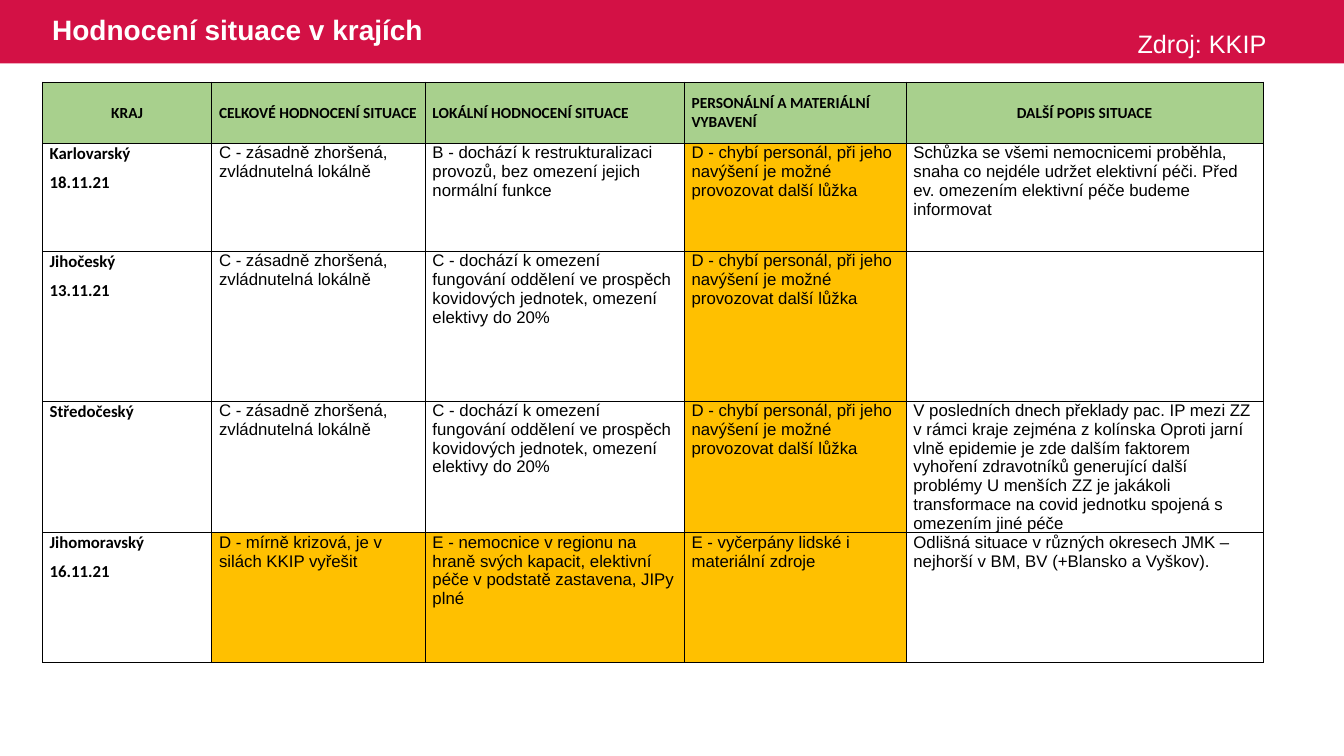
from lxml.etree import SubElement
from pptx import Presentation
from pptx.dml.color import RGBColor
from pptx.enum.shapes import MSO_SHAPE as Shape
from pptx.enum.text import MSO_ANCHOR as Anchor, PP_ALIGN as Align
from pptx.oxml.ns import qn
from pptx.util import Cm, Pt

CRIMSON = RGBColor(0xD3, 0x11, 0x45)
GREEN = RGBColor(0xA8, 0xD0, 0x8D)
AMBER = RGBColor(0xFF, 0xC0, 0x00)
WHITE = RGBColor(0xFF, 0xFF, 0xFF)
BLACK = RGBColor(0x00, 0x00, 0x00)

BAND_HEIGHT = Cm(1.6)
COLUMN_WIDTHS = (4.27, 5.38, 6.53, 5.59, 8.99)
ROW_HEIGHTS = (1.55, 2.72, 3.77, 3.27, 3.27)

HEADINGS = (
    "KRAJ",
    "CELKOVÉ HODNOCENÍ SITUACE",
    "LOKÁLNÍ HODNOCENÍ SITUACE",
    "PERSONÁLNÍ A MATERIÁLNÍ VYBAVENÍ",
    "DALŠÍ POPIS SITUACE",
)
CENTRED_COLUMNS = (0, 4)

WORSENED = "C - zásadně zhoršená, zvládnutelná lokálně"
LIMITED = ("C - dochází k omezení fungování oddělení ve prospěch "
           "kovidových jednotek, omezení elektivy do 20%")
SHORT_STAFFED = ("D - chybí personál, při jeho navýšení je možné "
                 "provozovat další lůžka")

# Each region: its cell texts and the columns marked in amber
REGIONS = (
    (("Karlovarský\n18.11.21", WORSENED,
      "B - dochází k restrukturalizaci provozů, bez omezení jejich normální funkce",
      SHORT_STAFFED,
      "Schůzka se všemi nemocnicemi proběhla, snaha co nejdéle udržet elektivní "
      "péči. Před ev. omezením elektivní péče budeme informovat"), (3,)),
    (("Jihočeský\n13.11.21", WORSENED, LIMITED, SHORT_STAFFED, ""), (3,)),
    (("Středočeský", WORSENED, LIMITED, SHORT_STAFFED,
      "V posledních dnech překlady pac. IP mezi ZZ v rámci kraje zejména z kolínska "
      "Oproti jarní vlně epidemie je zde dalším faktorem vyhoření zdravotníků "
      "generující další problémy U menších ZZ je jakákoli transformace na covid "
      "jednotku spojená s omezením jiné péče"), (3,)),
    (("Jihomoravský\n16.11.21",
      "D - mírně krizová, je v silách KKIP vyřešit",
      "E - nemocnice v regionu na hraně svých kapacit, elektivní péče v podstatě "
      "zastavena, JIPy plné",
      "E - vyčerpány lidské i materiální zdroje",
      "Odlišná situace v různých okresech JMK – nejhorší v BM, BV (+Blansko a "
      "Vyškov)."), (1, 2, 3)),
)


def write_text(frame, text, *, size, font="Arial", color=BLACK, bold=False,
               align=Align.LEFT, gap=0, line_spacing=None):
    """Write one paragraph per line of text, with gap points between them."""
    for index, line in enumerate(text.split("\n")):
        para = frame.add_paragraph() if index else frame.paragraphs[0]
        para.alignment = align
        para.space_before = Pt(gap if index else 0)
        if line_spacing:
            para.line_spacing = line_spacing
        if not line:
            para.font.size = Pt(size)
            continue
        span = para.add_run()
        span.text = line
        span.font.size = Pt(size)
        span.font.name = font
        span.font.bold = bold
        span.font.color.rgb = color


def set_borders(cell):
    properties = cell._tc.get_or_add_tcPr()
    for index, side in enumerate(("lnL", "lnR", "lnT", "lnB")):
        line = properties.makeelement(qn(f"a:{side}"), {"w": str(Pt(0.75))})
        fill = SubElement(line, qn("a:solidFill"))
        SubElement(fill, qn("a:srgbClr"), val=str(BLACK))
        properties.insert(index, line)


def format_cell(cell, text, *, fill=None, anchor=Anchor.TOP, **text_format):
    cell.margin_left = cell.margin_right = Cm(0.18)
    cell.margin_top = cell.margin_bottom = 0
    cell.vertical_anchor = anchor
    if fill is None:
        cell.fill.background()
    else:
        cell.fill.solid()
        cell.fill.fore_color.rgb = fill
    set_borders(cell)
    write_text(cell.text_frame, text, **text_format)


def add_title_band(page, width):
    band = page.shapes.add_shape(Shape.RECTANGLE, 0, 0, width, BAND_HEIGHT)
    band.shadow.inherit = False
    band.fill.solid()
    band.fill.fore_color.rgb = CRIMSON
    band.line.fill.background()

    title = page.shapes.title
    title.element.addprevious(band.element)
    title.left, title.top = Cm(1.06), 0
    title.width, title.height = Cm(15), BAND_HEIGHT
    title.text_frame.vertical_anchor = Anchor.MIDDLE
    write_text(title.text_frame, "Hodnocení situace v krajích", size=20,
               color=WHITE, bold=True, line_spacing=0.9)


def add_source_label(page):
    box = page.shapes.add_textbox(Cm(28.42), Cm(0.58), Cm(3.79), Cm(1.02))
    box.text_frame.word_wrap = False
    write_text(box.text_frame, "Zdroj: KKIP", size=18, color=WHITE)


def add_region_table(page):
    table = page.shapes.add_table(
        len(ROW_HEIGHTS), len(COLUMN_WIDTHS), Cm(1.07), Cm(2.07),
        Cm(sum(COLUMN_WIDTHS)), Cm(sum(ROW_HEIGHTS))).table
    table.first_row = table.horz_banding = False
    for column, width in zip(table.columns, COLUMN_WIDTHS):
        column.width = Cm(width)
    for row, height in zip(table.rows, ROW_HEIGHTS):
        row.height = Cm(height)

    for column, heading in enumerate(HEADINGS):
        align = Align.CENTER if column in CENTRED_COLUMNS else Align.LEFT
        format_cell(table.cell(0, column), heading, fill=GREEN, size=11,
                    anchor=Anchor.MIDDLE, font="Calibri", bold=True, align=align)
    for row, (texts, marked) in enumerate(REGIONS, start=1):
        for column, text in enumerate(texts):
            is_name = column == 0
            format_cell(table.cell(row, column), text, size=12, gap=6,
                        fill=AMBER if column in marked else None,
                        font="Calibri" if is_name else "Arial", bold=is_name)


def main():
    deck = Presentation()
    deck.slide_width, deck.slide_height = Cm(33.87), Cm(19.05)
    page = deck.slides.add_slide(deck.slide_layouts[5])
    add_title_band(page, deck.slide_width)
    add_region_table(page)
    add_source_label(page)
    deck.save("out.pptx")


if __name__ == "__main__":
    main()
